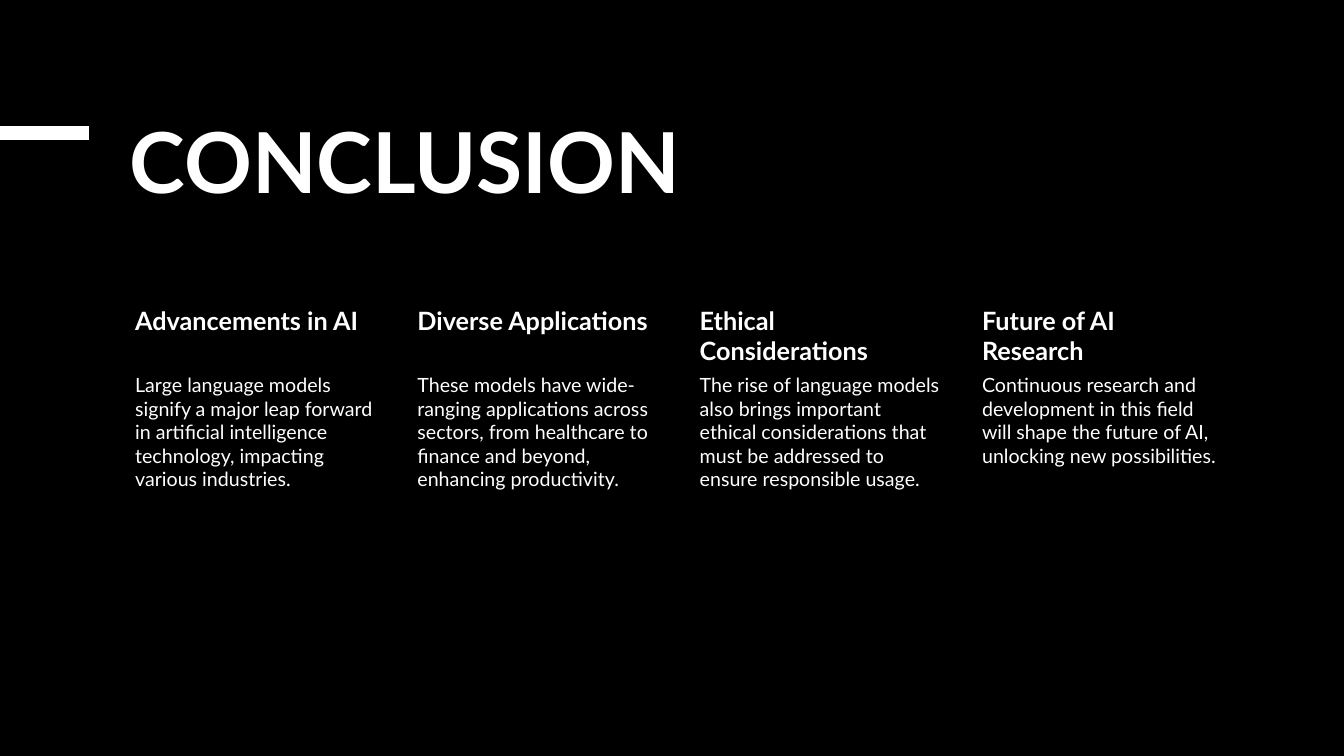
from dataclasses import dataclass

from lxml import etree
from pptx import Presentation
from pptx.dml.color import RGBColor
from pptx.enum.shapes import MSO_CONNECTOR
from pptx.enum.text import MSO_ANCHOR
from pptx.oxml.ns import qn
from pptx.util import Inches, Pt

STRAIGHT = MSO_CONNECTOR.STRAIGHT
TOP = MSO_ANCHOR.TOP


@dataclass(frozen=True)
class Theme:
    background: RGBColor = RGBColor(0x00, 0x00, 0x00)
    foreground: RGBColor = RGBColor(0xFF, 0xFF, 0xFF)
    font: str = "Lato"
    title_size: float = 60
    heading_size: float = 18
    body_size: float = 14
    accent_width: float = 9.5


THEME = Theme()

COLUMN_LEFT, COLUMN_STEP, COLUMN_WIDTH = 1.19, 2.8, 2.55
HEADING_TOP, HEADING_HEIGHT = 3, 0.68
BODY_TOP, BODY_HEIGHT = HEADING_TOP + HEADING_HEIGHT, 2.31
HEADING_INSETS = (0.15, 0.03, 0.03, 0.03)
BODY_INSETS = (0.15, 0.02, 0.02, 0.02)
TITLE_INSETS = (0.1, 0.05, 0.1, 0.05)

TAKEAWAYS = [
    ("Advancements in AI",
     "Large language models signify a major leap forward in artificial "
     "intelligence technology, impacting various industries."),
    ("Diverse Applications",
     "These models have wide-ranging applications across sectors, from "
     "healthcare to finance and beyond, enhancing productivity."),
    ("Ethical Considerations",
     "The rise of language models also brings important ethical "
     "considerations that must be addressed to ensure responsible usage."),
    ("Future of AI Research",
     "Continuous research and development in this field will shape the "
     "future of AI, unlocking new possibilities."),
]


def add_text(slide, text, box, insets, size, bold=False, line_spacing=1.0):
    frame = slide.shapes.add_textbox(*map(Inches, box)).text_frame
    frame.word_wrap = True
    frame.vertical_anchor = TOP
    (frame.margin_left, frame.margin_top,
     frame.margin_right, frame.margin_bottom) = map(Inches, insets)
    frame.text = text
    paragraph = frame.paragraphs[0]
    paragraph.line_spacing = line_spacing
    font = paragraph.runs[0].font
    font.name = THEME.font
    font.size = Pt(size)
    font.bold = bold
    font.color.rgb = THEME.foreground


def add_accent(slide, left, right, y):
    accent = slide.shapes.add_connector(
        STRAIGHT, Inches(left), Inches(y), Inches(right), Inches(y))
    accent.line.color.rgb = THEME.foreground
    accent.line.width = Pt(THEME.accent_width)
    # An empty effect list removes the default shadow
    etree.SubElement(accent._element.spPr, qn("a:effectLst"))


def add_takeaway(slide, left, heading, body):
    add_text(slide, heading, (left, HEADING_TOP, COLUMN_WIDTH, HEADING_HEIGHT),
             HEADING_INSETS, THEME.heading_size, bold=True)
    add_text(slide, body, (left, BODY_TOP, COLUMN_WIDTH, BODY_HEIGHT),
             BODY_INSETS, THEME.body_size)


def main():
    deck = Presentation()
    deck.slide_width, deck.slide_height = Inches(13.33), Inches(7.5)
    slide = deck.slides.add_slide(deck.slide_layouts[6])

    # Background
    slide.background.fill.solid()
    slide.background.fill.fore_color.rgb = THEME.background

    # Title with accent bar
    add_accent(slide, 0, 0.88, 1.32)
    add_text(slide, "CONCLUSION", (COLUMN_LEFT, 1.19, 8.03, 1.24),
             TITLE_INSETS, THEME.title_size, bold=True, line_spacing=0.85)

    # Four takeaway columns
    for index, (heading, body) in enumerate(TAKEAWAYS):
        add_takeaway(slide, COLUMN_LEFT + index * COLUMN_STEP, heading, body)

    deck.save("out.pptx")


if __name__ == "__main__":
    main()
